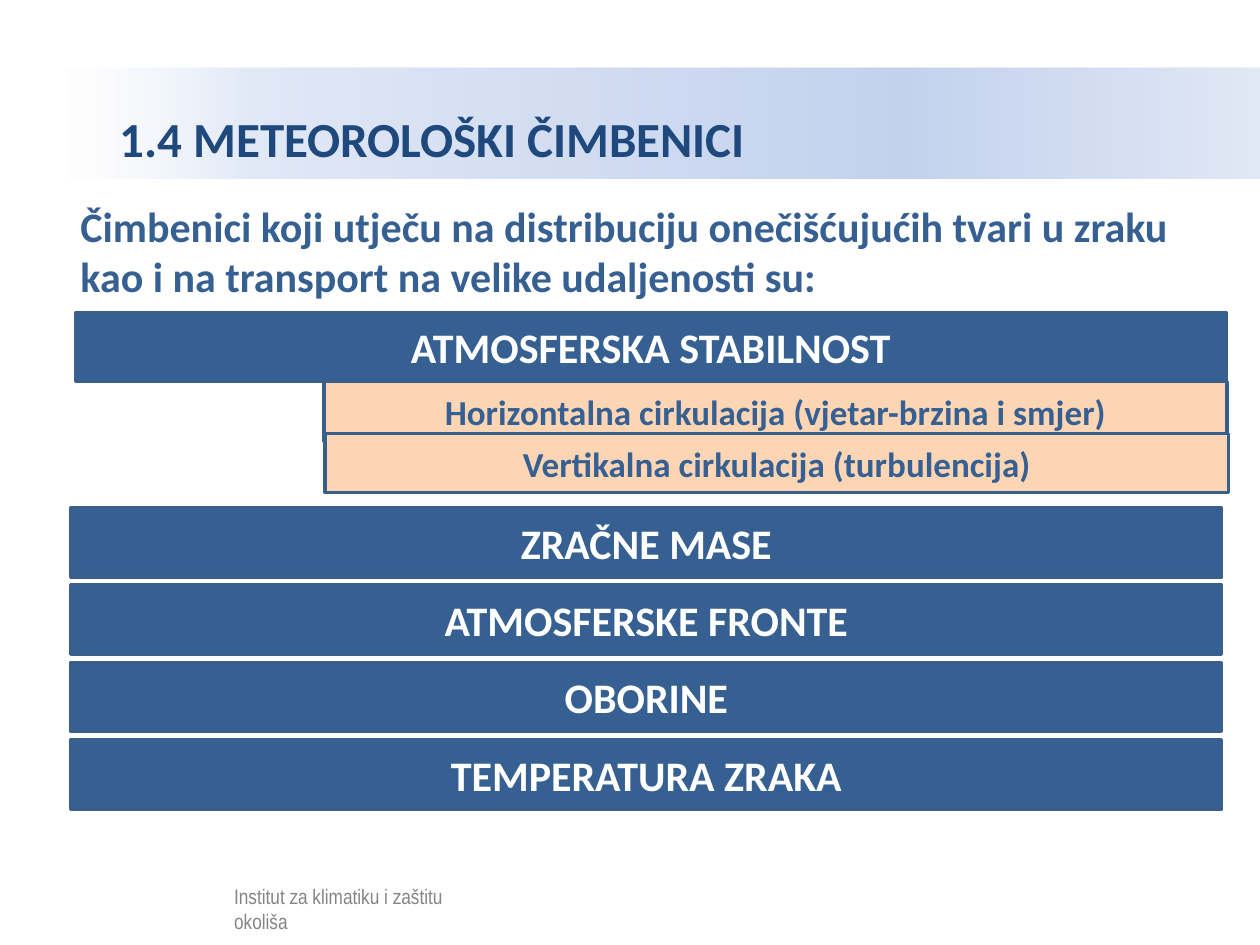
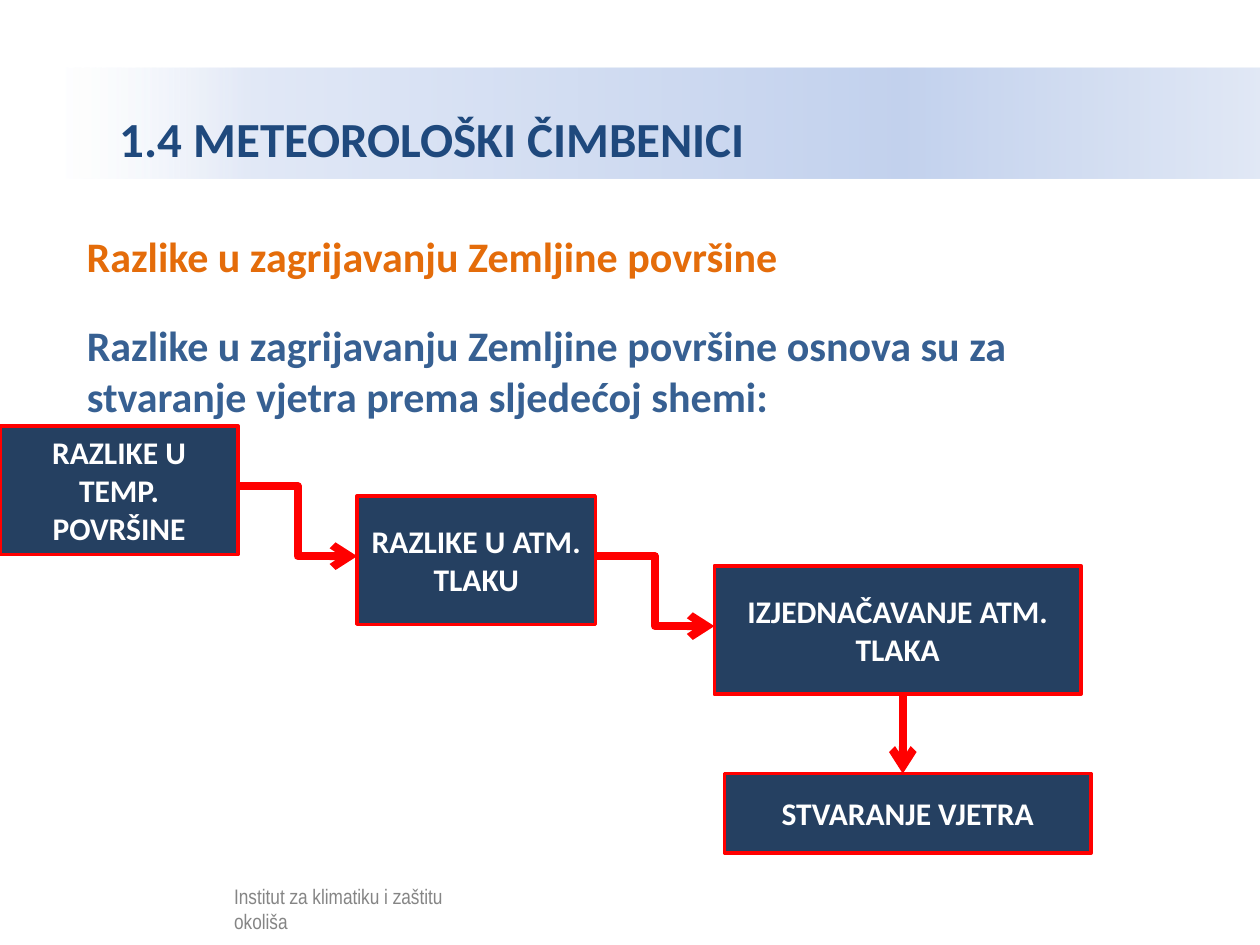
from dataclasses import dataclass
from itertools import pairwise

from lxml.etree import SubElement as Sub
from pptx import Presentation
from pptx.dml.color import RGBColor as Rgb
from pptx.enum.shapes import MSO_CONNECTOR as Link, MSO_SHAPE as Form
from pptx.enum.text import MSO_ANCHOR as Anchor, PP_ALIGN as Align
from pptx.oxml.ns import qn
from pptx.util import Inches, Pt


@dataclass(frozen=True)
class Theme:
    face: str = "Calibri"
    slim: str = "Arial Narrow"
    navy: str = "1F497D"
    blue: str = "376092"
    edge: str = "3A5F8C"
    deep: str = "254061"
    peach: str = "FCD5B5"
    orange: str = "E46C0A"
    red: str = "FF0000"
    white: str = "FFFFFF"
    black: str = "000000"
    fade: tuple = ((0, "FFFFFF"), (16, "E1E8F6"), (70, "C2D1ED"), (100, "E1E8F5"))
    clear: int = 52
    head: int = 28
    body: int = 24
    sub: int = 20
    node: int = 18
    foot: int = 12
    line: float = 2
    arrow: float = 4.5


T = Theme()
COLS, ROWS = 100, 75
WIDE, HIGH = Inches(10), Inches(7.5)


def grid(x, y, w, h):
    return (round(x * WIDE / COLS), round(y * HIGH / ROWS),
            round(w * WIDE / COLS), round(h * HIGH / ROWS))


def put(item, vals):
    for name, val in vals.items():
        setattr(item, name, val)


def write(shape, text, size, color, face=T.face, bold=True, frame=None, para=None):
    put(shape.text_frame, {"word_wrap": True, **(frame or {})})
    line = shape.text_frame.paragraphs[0]
    put(line, {"text": text, **(para or {})})
    put(line.font, {"name": face, "size": Pt(size), "bold": bold})
    line.font.color.rgb = Rgb.from_string(color)


def note(page, box, text, size, color, **look):
    write(page.shapes.add_textbox(*grid(*box)), text, size, color, **look)


def block(page, box, fill, line=None):
    shape = page.shapes.add_shape(Form.RECTANGLE, *grid(*box))
    shape.shadow.inherit = False
    shape.fill.solid()
    shape.fill.fore_color.rgb = Rgb.from_string(fill)
    if line:
        shape.line.color.rgb = Rgb.from_string(line)
        shape.line.width = Pt(T.line)
    else:
        shape.line.fill.background()
    return shape


def label(page, box, text, fill, line, size, color):
    write(block(page, box, fill, line), text, size, color,
          frame={"vertical_anchor": Anchor.MIDDLE}, para={"alignment": Align.CENTER})


def thin(color):
    Sub(color, qn("a:alpha"), val=str(T.clear * 1000))


def banner(page, box, text):
    band = block(page, box, T.white)
    band.fill.gradient()
    band.fill.gradient_angle = 0
    stops = next(band.element.iter(qn("a:gsLst")))
    for stop in list(stops):
        stops.remove(stop)
    for pos, tint in T.fade:
        stop = Sub(stops, qn("a:gs"), pos=str(pos * 1000))
        color = Sub(stop, qn("a:srgbClr"), val=tint)
        if pos == 0:
            thin(color)
    write(band, text, T.head, T.navy,
          frame={"vertical_anchor": Anchor.MIDDLE, "margin_left": Inches(0.45)},
          para={"alignment": Align.LEFT, "line_spacing": 1.5})


def footer(page, box, text):
    x, y, w, h = box
    note(page, (x + 13.5, y + 0.3, 20.9, 2.5), text, T.foot, T.black,
         face=T.slim, bold=False)
    veil = block(page, box, T.white)
    thin(next(veil.element.iter(qn("a:srgbClr"))))


def frame(deck):
    page = deck.slides.add_slide(deck.slide_layouts[6])
    banner(page, (5, 5.4, 95, 8.8), "1.4 METEOROLOŠKI ČIMBENICI")
    footer(page, (4.1, 69.3, 38.2, 4.8), "Institut za klimatiku i zaštitu okoliša")
    return page


def arrow(page, kind, start, end):
    wire = page.shapes.add_connector(kind, *grid(*start, *end))
    wire.line.color.rgb = Rgb.from_string(T.red)
    wire.line.width = Pt(T.arrow)
    Sub(next(wire.element.iter(qn("a:ln"))), qn("a:tailEnd"), type="arrow")
    Sub(wire.element.spPr, qn("a:effectLst"))


def factors(page, box, first, subs, rest):
    x, y, w, h = box
    tall, low = 5.5, 4.7

    def bar(left, top, text):
        label(page, (left, top, w, tall), text, T.blue, T.edge, T.body, T.white)

    bar(x + 0.35, y, first)
    for i, text in enumerate(subs):
        label(page, (x + 20.05 + i * 0.1, y + tall + i * 4.1, 71.7, low), text,
              T.peach, T.edge, T.sub, T.blue)
    top = y + 15.5
    step = (y + h - tall - top) / (len(rest) - 1)
    for i, text in enumerate(rest):
        bar(x, top + i * step, text)


def scheme(page, box, steps, last):
    x, y, w, h = box
    tall, fall, run = 10.2, 5.55, 28.35
    spots = [(x + i * run, y + i * fall, wide, tall)
             for i, (text, wide) in enumerate(steps)]
    end = (x + w - 29.1, y + h - 6.3, 29.1, 6.3)
    for spot, text in zip(spots + [end], [text for text, wide in steps] + [last]):
        label(page, spot, text, T.deep, T.red, T.node, T.white)
    for (ax, ay, aw, ah), (bx, by, bw, bh) in pairwise(spots):
        arrow(page, Link.ELBOW, (ax + aw, ay + 0.47 * ah), (bx, by + 0.47 * bh))
    px, py, pw, ph = spots[-1]
    mid = (px + pw / 2 + end[0] + end[2] / 2) / 2
    arrow(page, Link.STRAIGHT, (mid, py + ph), (mid, end[1]))


def causes(deck):
    page = frame(deck)
    note(page, (5.4, 15.4, 91.3, 9.1),
         "Čimbenici koji utječu na distribuciju onečišćujućih tvari u zraku "
         "kao i na transport na velike udaljenosti su:", T.body, T.blue)
    factors(page, (5.65, 24.8, 91.3, 39.4), "ATMOSFERSKA STABILNOST",
            ("Horizontalna cirkulacija (vjetar-brzina i smjer)",
             "Vertikalna cirkulacija (turbulencija)"),
            ("ZRAČNE MASE", "ATMOSFERSKE FRONTE", "OBORINE", "TEMPERATURA ZRAKA"))


def winds(deck):
    page = frame(deck)
    note(page, (5.9, 17.8, 69.3, 5), "Razlike u zagrijavanju Zemljine površine",
         T.body, T.orange)
    note(page, (5.9, 24.9, 88.2, 9.1),
         "Razlike u zagrijavanju Zemljine površine osnova su za "
         "stvaranje vjetra prema sljedećoj shemi:", T.body, T.blue)
    scheme(page, (0, 33.8, 86.6, 33.9),
           (("RAZLIKE U TEMP. POVRŠINE", 18.9), ("RAZLIKE U ATM. TLAKU", 18.9),
            ("IZJEDNAČAVANJE ATM. TLAKA", 29.1)), "STVARANJE VJETRA")


def main():
    deck = Presentation()
    put(deck, {"slide_width": WIDE, "slide_height": HIGH})
    causes(deck)
    winds(deck)
    deck.save("out.pptx")


if __name__ == "__main__":
    main()
